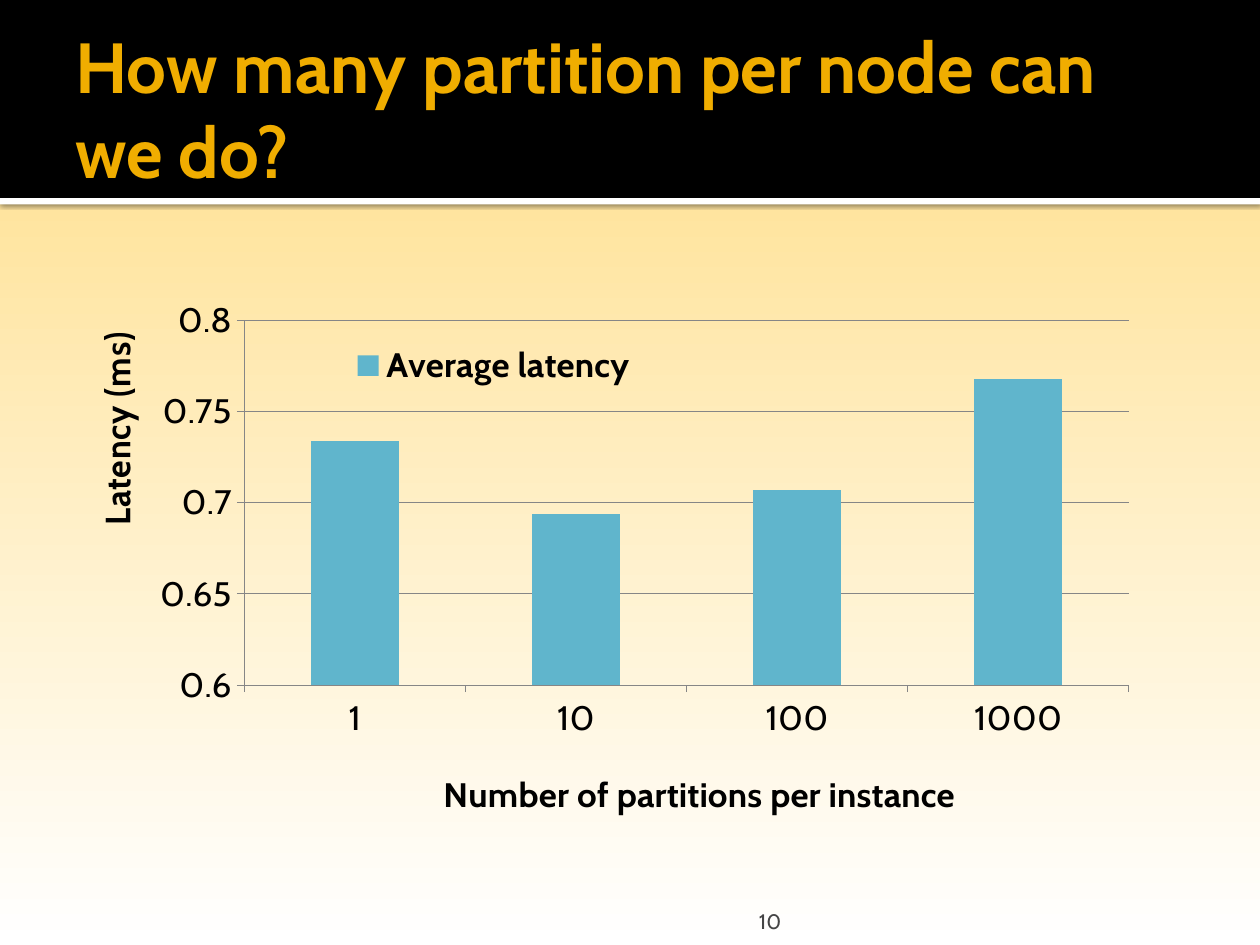
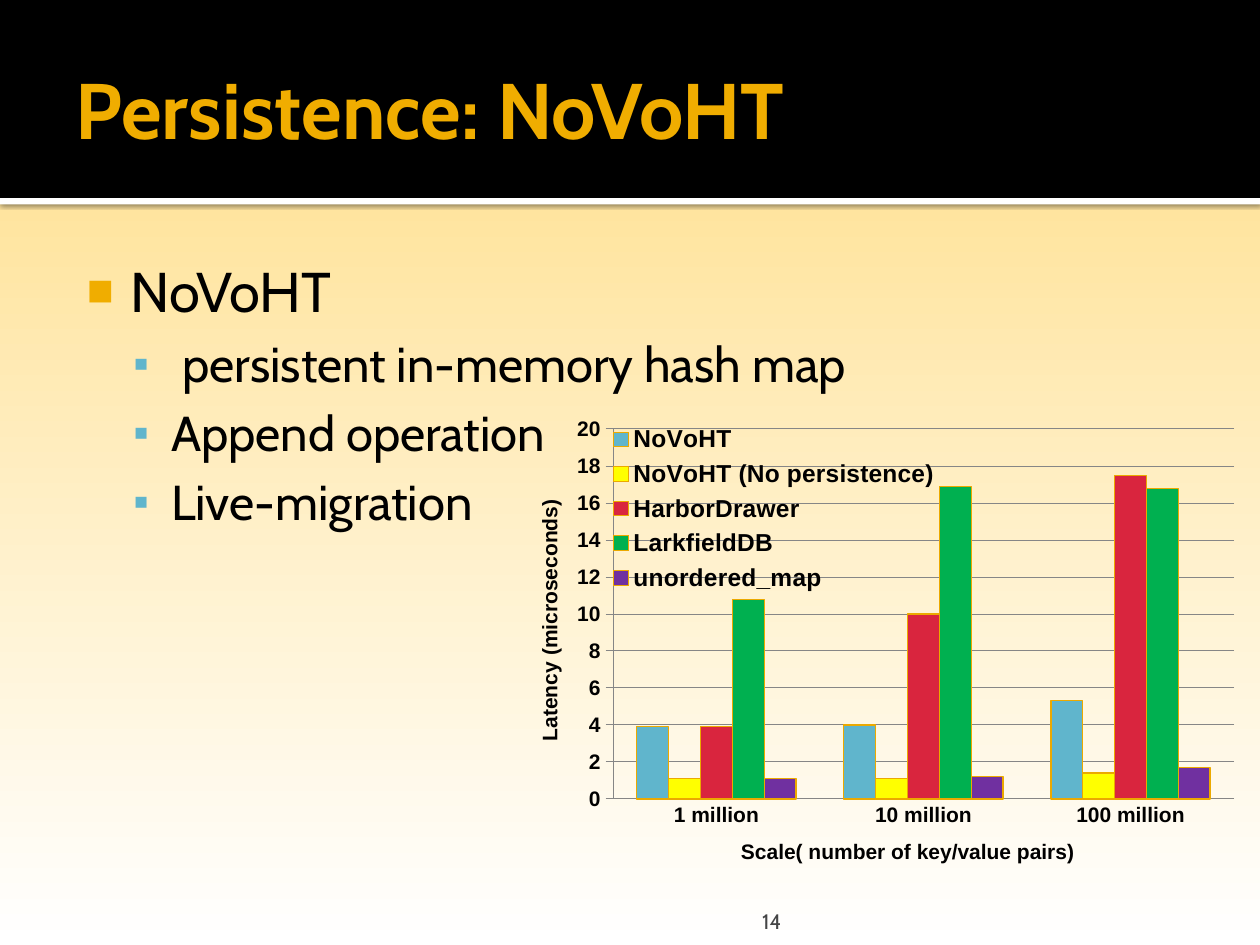
from dataclasses import dataclass
from typing import Optional

import lxml.etree
import pptx
import pptx.chart.data
import pptx.dml.color
import pptx.enum.chart
import pptx.enum.shapes
import pptx.enum.text
import pptx.oxml
import pptx.oxml.ns
import pptx.util
from pptx.util import Cm, Pt

COLORS = {
    "black": "000000", "white": "FFFFFF", "gold": "F0AD00", "blue": "60B5CC",
    "yellow": "FFFF00", "red": "D9253E", "green": "00B050", "purple": "7030A0",
    "outline": "EBA900", "grid": "868686", "number": "454545",
}
BACKGROUND_STOPS = [(0, "FFC000"), (12, "FFE193"), (100, "FFFFFF")]
TITLE_FONT = "Cabin"
SLIDE_WIDTH, SLIDE_HEIGHT = Cm(25.4), Cm(19.05)
BAND_HEIGHT = Cm(3.99)
NAMESPACE = 'xmlns:a="http://schemas.openxmlformats.org/drawingml/2006/main"'
TICK = pptx.enum.chart.XL_TICK_MARK
ANCHOR = pptx.enum.text.MSO_ANCHOR


@dataclass
class Area:
    left: float
    top: float
    width: float
    height: float

    def lengths(self) -> list:
        return [Cm(value) for value in (self.left, self.top, self.width, self.height)]


@dataclass
class Series:
    name: str
    values: list[float]
    color: str


@dataclass
class AxisStyle:
    title: str
    title_place: tuple[float, float]
    tick: TICK
    minimum: Optional[float] = None
    maximum: Optional[float] = None
    step: Optional[float] = None


@dataclass
class ColumnChart:
    area: Area
    categories: list[str]
    series: list[Series]
    category_axis: AxisStyle
    value_axis: AxisStyle
    plot_place: tuple[float, float, float, float]
    legend_place: tuple[float, float, float, float]
    font: str
    size: float
    bold: bool
    legend_size: float
    outlined: bool


@dataclass
class Level:
    size: float
    margin: float
    indent: float
    before: float
    bullet: str
    bullet_color: str
    bullet_percent: int


LEVELS = [
    Level(32, 1.22, -0.89, 0, "\u25a0", "gold", 80),
    Level(28, 2.03, -0.76, 5.6, "\u25aa", "blue", 90),
]


def rgb(name: str) -> pptx.dml.color.RGBColor:
    return pptx.dml.color.RGBColor.from_string(COLORS[name])


def style_font(font, name: str, size: float, color: str, bold: bool = False) -> None:
    font.name, font.size, font.bold = name, Pt(size), bold
    font.color.rgb = rgb(color)


def style_line(line, color: str) -> None:
    line.color.rgb = rgb(color)
    line.width = Pt(0.5)


# Shared slide parts
def paint_background(page) -> None:
    fill = page.background.fill
    fill.gradient()
    fill.gradient_angle = 270
    stops = page._element.find(".//" + pptx.oxml.ns.qn("a:gsLst"))
    for stop in list(stops):
        stops.remove(stop)
    for percent, color in BACKGROUND_STOPS:
        stops.append(pptx.oxml.parse_xml(
            f'<a:gs {NAMESPACE} pos="{percent * 1000}"><a:srgbClr val="{color}"/></a:gs>'))


def add_band(page, top, height, color: str):
    band = page.shapes.add_shape(
        pptx.enum.shapes.MSO_SHAPE.RECTANGLE, 0, top, SLIDE_WIDTH, height)
    band.shadow.inherit = False
    band.fill.solid()
    band.fill.fore_color.rgb = rgb(color)
    band.line.fill.background()
    return band


def add_text_frame(page, area: Area, insets: tuple, anchor: ANCHOR):
    frame = page.shapes.add_textbox(*area.lengths()).text_frame
    frame.word_wrap = True
    frame.vertical_anchor = anchor
    frame.margin_left, frame.margin_top, frame.margin_right, frame.margin_bottom = (
        Cm(inset) for inset in insets)
    return frame


def add_page(deck, title: str, title_size: float, number: int):
    page = deck.slides.add_slide(deck.slide_layouts[6])
    # White rule with a soft shadow, under the black title band
    rule = add_band(page, BAND_HEIGHT, Cm(0.13), "white")
    effects = rule._element.spPr.find(pptx.oxml.ns.qn("a:effectLst"))
    effects.append(pptx.oxml.parse_xml(
        f'<a:outerShdw {NAMESPACE} blurRad="{Pt(2.5)}" dist="{Pt(0.8)}" dir="5400000"'
        ' rotWithShape="0"><a:srgbClr val="000000"><a:alpha val="60000"/></a:srgbClr>'
        '</a:outerShdw>'))
    add_band(page, 0, BAND_HEIGHT, "black")
    # Title
    frame = add_text_frame(page, Area(1.27, 0.43, 22.86, 3.48),
                           (0.25, 0.13, 0.13, 0.13), ANCHOR.MIDDLE)
    para = frame.paragraphs[0]
    para.text = title
    style_font(para.font, TITLE_FONT, title_size, "gold", True)
    # Page number
    frame = add_text_frame(page, Area(13.97, 18.06, 2.03, 0.76),
                           (0.25, 0.13, 0.25, 0), ANCHOR.BOTTOM)
    para = frame.paragraphs[0]
    para.text = str(number)
    para.alignment = pptx.enum.text.PP_ALIGN.RIGHT
    style_font(para.font, TITLE_FONT, 12, "number")
    return page


def add_bullets(page, area: Area, items: list[tuple[int, str]]) -> None:
    frame = add_text_frame(page, area, (0.15, 0.25, 0.25, 0.13), ANCHOR.TOP)
    for index, (depth, text) in enumerate(items):
        level = LEVELS[depth]
        para = frame.add_paragraph() if index else frame.paragraphs[0]
        para.text = text
        para.level = depth
        para.space_before = Pt(level.before)
        properties = para._p.get_or_add_pPr()
        properties.set("marL", str(Cm(level.margin)))
        properties.set("indent", str(Cm(level.indent)))
        for markup in (
            f'<a:buClr {NAMESPACE}><a:srgbClr val="{COLORS[level.bullet_color]}"/></a:buClr>',
            f'<a:buSzPct {NAMESPACE} val="{level.bullet_percent * 1000}"/>',
            f'<a:buFont {NAMESPACE} typeface="Arial"/>',
            f'<a:buChar {NAMESPACE} char="{level.bullet}"/>',
        ):
            properties.append(pptx.oxml.parse_xml(markup))
        style_font(para.font, TITLE_FONT, level.size, "black")


# Charts
def place(element, position: tuple, inner: bool = False) -> None:
    """Give a chart part a manual place, in fractions of the chart."""
    qn = pptx.oxml.ns.qn
    for former in element.findall(qn("c:layout")):
        element.remove(former)
    layout = lxml.etree.Element(qn("c:layout"))
    manual = lxml.etree.SubElement(layout, qn("c:manualLayout"))
    settings = [("layoutTarget", "inner")] if inner else []
    settings += [("xMode", "edge"), ("yMode", "edge")]
    settings += zip("xywh", position)
    for tag, value in settings:
        lxml.etree.SubElement(manual, qn("c:" + tag)).set("val", str(value))
    overlay = element.find(qn("c:overlay"))
    if overlay is None:
        element.insert(0, layout)
    else:
        overlay.addprevious(layout)


def style_axis(axis, style: AxisStyle, font_name: str, size: float) -> None:
    axis.major_tick_mark = style.tick
    axis.minor_tick_mark = TICK.NONE
    style_line(axis.format.line, "grid")
    para = axis.axis_title.text_frame.paragraphs[0]
    para.text = style.title
    style_font(para.font, font_name, size, "black", True)
    place(axis.axis_title._element, style.title_place)


def add_column_chart(page, design: ColumnChart) -> None:
    data = pptx.chart.data.CategoryChartData()
    data.categories = design.categories
    for series in design.series:
        data.add_series(series.name, series.values)
    chart = page.shapes.add_chart(
        pptx.enum.chart.XL_CHART_TYPE.COLUMN_CLUSTERED, *design.area.lengths(), data).chart
    chart.has_title = False
    style_font(chart.font, design.font, design.size, "black", design.bold)
    # Columns
    plot = chart.plots[0]
    plot.gap_width, plot.overlap, plot.vary_by_categories = 150, 0, False
    for drawn, series in zip(plot.series, design.series):
        drawn.format.fill.solid()
        drawn.format.fill.fore_color.rgb = rgb(series.color)
        if design.outlined:
            drawn.format.line.color.rgb = rgb("outline")
            drawn.format.line.width = Pt(0.75)
    # Axes
    style_axis(chart.category_axis, design.category_axis, design.font, design.size)
    axis = chart.value_axis
    style_axis(axis, design.value_axis, design.font, design.size)
    axis.minimum_scale = design.value_axis.minimum
    axis.maximum_scale = design.value_axis.maximum
    axis.major_unit = design.value_axis.step
    axis.has_major_gridlines = True
    style_line(axis.major_gridlines.format.line, "grid")
    axis.tick_labels.number_format = "General"
    axis.tick_labels.number_format_is_linked = False
    # Legend over the plot
    chart.has_legend = True
    chart.legend.position = pptx.enum.chart.XL_LEGEND_POSITION.RIGHT
    chart.legend.include_in_layout = False
    style_font(chart.legend.font, design.font, design.legend_size, "black", True)
    place(chart.legend._element, design.legend_place)
    place(chart._chartSpace.chart.plotArea, design.plot_place, inner=True)


PARTITION_CHART = ColumnChart(
    area=Area(1.27, 5.72, 22.86, 10.95),
    categories=["1", "10", "100", "1000"],
    series=[Series("Average latency", [0.734, 0.694, 0.707, 0.768], "blue")],
    category_axis=AxisStyle("Number of partitions per instance", (0.33, 0.91), TICK.OUTSIDE),
    value_axis=AxisStyle("Latency (ms)", (0.02, 0.09), TICK.OUTSIDE, 0.6, 0.8, 0.05),
    plot_place=(0.16, 0.07, 0.78, 0.69), legend_place=(0.22, 0.1, 0.32, 0.11),
    font="Cabin", size=20, bold=False, legend_size=20, outlined=False)

PERSISTENCE_CHART = ColumnChart(
    area=Area(10.59, 7.82, 14.73, 10.36),
    categories=["1 million", "10 million", "100 million"],
    series=[
        Series("NoVoHT", [3.9, 4, 5.3], "blue"),
        Series("NoVoHT (No persistence)", [1.1, 1.1, 1.4], "yellow"),
        Series("HarborDrawer", [3.9, 10, 17.5], "red"),
        Series("LarkfieldDB", [10.8, 16.9, 16.8], "green"),
        Series("unordered_map", [1.1, 1.2, 1.7], "purple"),
    ],
    category_axis=AxisStyle("Scale( number of key/value pairs)", (0.29, 0.87), TICK.NONE),
    value_axis=AxisStyle("Latency (microseconds)", (0.01, 0.21), TICK.OUTSIDE, 0, 20, 2),
    plot_place=(0.12, 0.08, 0.85, 0.72), legend_place=(0.1, 0.06, 0.48, 0.35),
    font="Arial", size=12, bold=True, legend_size=14, outlined=True)

deck = pptx.Presentation()
deck.slide_width, deck.slide_height = SLIDE_WIDTH, SLIDE_HEIGHT
paint_background(deck.slide_master)

# Slide: partitions per node
page = add_page(deck, "How many partition per node can we do?", 40.5, 10)
add_column_chart(page, PARTITION_CHART)

# Slide: persistence
page = add_page(deck, "Persistence: NoVoHT", 45, 14)
add_bullets(page, Area(1.27, 4.93, 22.86, 12.85), [
    (0, "NoVoHT"),
    (1, "\u00a0persistent in-memory hash map"),
    (1, "Append operation"),
    (1, "Live-migration"),
])
add_column_chart(page, PERSISTENCE_CHART)

deck.save("out.pptx")
